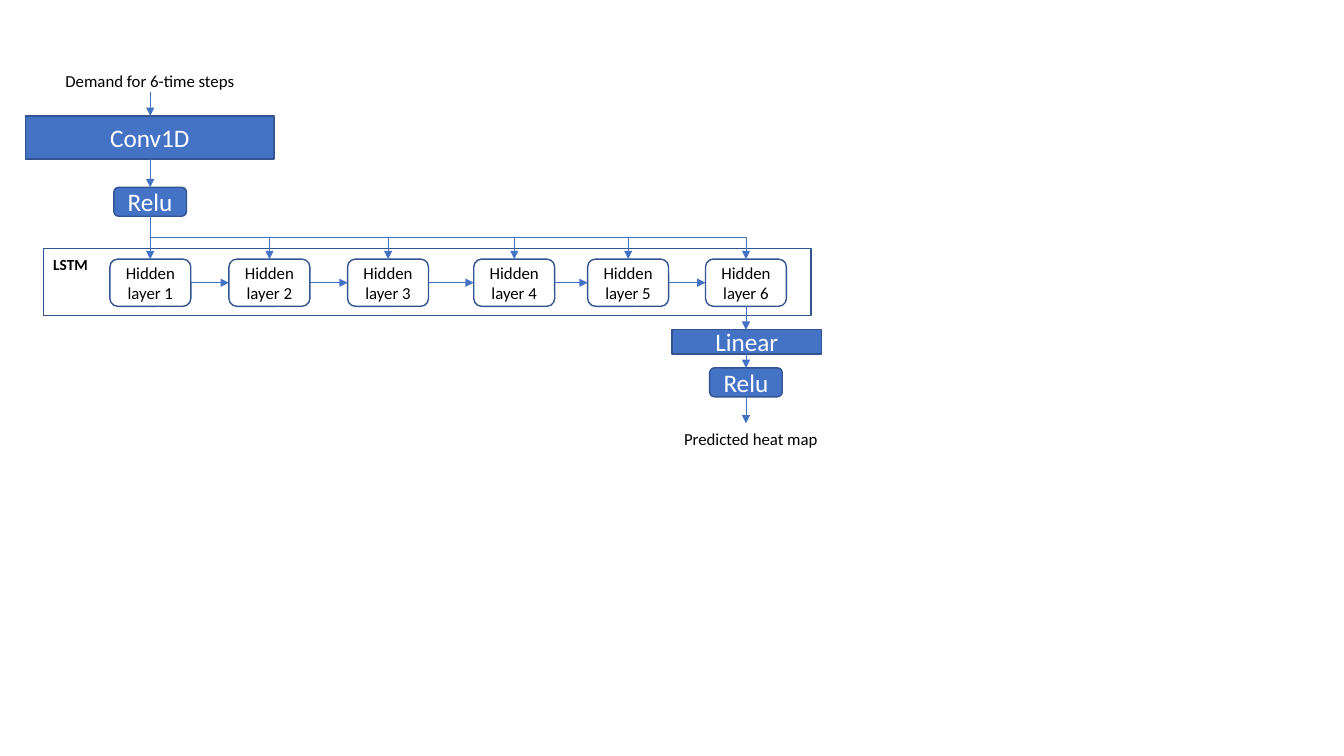
from pptx import Presentation
from pptx.dml.color import RGBColor
from pptx.enum.shapes import MSO_CONNECTOR, MSO_SHAPE
from pptx.enum.text import MSO_ANCHOR, MSO_AUTO_SIZE, PP_ALIGN
from pptx.oxml.ns import qn
from pptx.util import Cm, Pt
from lxml.etree import SubElement

BLUE = RGBColor(0x44, 0x72, 0xC4)
NAVY = RGBColor(0x32, 0x54, 0x91)
BLACK = RGBColor(0, 0, 0)
WHITE = RGBColor(0xFF, 0xFF, 0xFF)
FONT = "Calibri"

RELU_W, RELU_H = 1.83, 0.73
CELL_W, CELL_H = 2.04, 1.19
CELL_OFFSETS = [1.68, 4.68, 7.67, 10.85, 13.72, 16.69]


def write(sp, text, size, color, bold=False):
    tf = sp.text_frame
    tf.text = text
    font = tf.paragraphs[0].runs[0].font
    font.name, font.size, font.bold = FONT, Pt(size), bold
    font.color.rgb = color
    return tf


def add_block(slide, kind, box, text=None, size=18, fill=BLUE, color=WHITE):
    sp = slide.shapes.add_shape(kind, *map(Cm, box))
    sp.shadow.inherit = False
    if fill is None:
        sp.fill.background()
    else:
        sp.fill.solid()
        sp.fill.fore_color.rgb = fill
    sp.line.color.rgb = NAVY
    sp.line.width = Pt(1)
    if text:
        tf = write(sp, text, size, color)
        tf.word_wrap = True
        tf.vertical_anchor = MSO_ANCHOR.MIDDLE
        tf.paragraphs[0].alignment = PP_ALIGN.CENTER


def add_label(slide, box, text, size=12, bold=False, wrap=True):
    sp = slide.shapes.add_textbox(*map(Cm, box))
    tf = write(sp, text, size, BLACK, bold)
    tf.word_wrap = wrap
    tf.auto_size = MSO_AUTO_SIZE.SHAPE_TO_FIT_TEXT


def add_arrow(slide, x1, y1, x2, y2, kind=MSO_CONNECTOR.STRAIGHT):
    cxn = slide.shapes.add_connector(kind, Cm(x1), Cm(y1), Cm(x2), Cm(y2))
    cxn.line.color.rgb = BLUE
    cxn.line.width = Pt(0.5)
    SubElement(cxn.line._get_or_add_ln(), qn("a:tailEnd"), type="triangle")
    SubElement(cxn._element.spPr, qn("a:effectLst"))
    return cxn


def add_drop_elbow(slide, x1, y1, x2, y2):
    """Elbow that leaves downwards, runs right and ends downwards."""
    cxn = add_arrow(slide, x1, y1, x2, y2, MSO_CONNECTOR.ELBOW)
    run, drop = x2 - x1, y2 - y1
    # A quarter turn swaps the sides around the same centre
    cxn.left, cxn.top = Cm((x1 + x2 - drop) / 2), Cm((y1 + y2 - run) / 2)
    cxn.width, cxn.height = Cm(drop), Cm(run)
    xfrm = cxn._element.spPr.find(qn("a:xfrm"))
    xfrm.set("rot", str(270 * 60000))
    xfrm.set("flipH", "1")


def add_input_stage(slide, left, top, width):
    """Demand label, Conv1D and Relu; returns the outlet point."""
    mid = left + width / 2 + 0.01
    conv_top, relu_top = top + 1.27, top + 3.07
    add_label(slide, (left + 0.76, top, 4.8, 0.76), "Demand for 6-time steps")
    add_block(slide, MSO_SHAPE.RECTANGLE, (left, conv_top, width, 1.09), "Conv1D")
    add_block(slide, MSO_SHAPE.ROUNDED_RECTANGLE,
              (mid - RELU_W / 2, relu_top, RELU_W, RELU_H), "Relu")
    add_arrow(slide, mid, top + 0.66, mid, conv_top)
    add_arrow(slide, mid, conv_top + 1.09, mid, relu_top)
    return mid, relu_top + RELU_H


def add_lstm(slide, left, top, width, height, inlet):
    """Frame with the chained hidden layers; returns the outlet point."""
    add_block(slide, MSO_SHAPE.RECTANGLE, (left, top, width, height), fill=None)
    add_label(slide, (left, top + 0.03, 1.75, 0.74), "LSTM", 11, bold=True)
    cell_top = top + 0.26
    cells = [left + offset for offset in CELL_OFFSETS]
    for number, x in enumerate(cells, 1):
        add_block(slide, MSO_SHAPE.ROUNDED_RECTANGLE, (x, cell_top, CELL_W, CELL_H),
                  f"Hidden layer {number}", 12, None, BLACK)
    # Chain from each layer to the next
    mid_y = cell_top + CELL_H / 2
    for x, following in zip(cells, cells[1:]):
        add_arrow(slide, x + CELL_W, mid_y, following, mid_y)
    # Input fanned out to every layer
    add_arrow(slide, *inlet, inlet[0], cell_top)
    for x in cells[1:]:
        add_drop_elbow(slide, *inlet, x + CELL_W / 2, cell_top)
    return cells[-1] + CELL_W / 2, cell_top + CELL_H


def add_output_stage(slide, left, top, width, inlet):
    """Linear, Relu and the heat map label."""
    mid = inlet[0]
    relu_top, label_top = top + 0.96, top + 2.36
    add_block(slide, MSO_SHAPE.RECTANGLE, (left, top, width, 0.61), "Linear")
    add_block(slide, MSO_SHAPE.ROUNDED_RECTANGLE,
              (mid - RELU_W / 2, relu_top, RELU_W, RELU_H), "Relu")
    add_arrow(slide, *inlet, mid, top)
    add_arrow(slide, mid, top + 0.61, mid, relu_top)
    add_arrow(slide, mid, relu_top + RELU_H, mid, label_top)
    add_label(slide, (left + 0.05, label_top, 3.91, 0.43), "Predicted heat map",
              wrap=False)


def main():
    prs = Presentation()
    prs.slide_width, prs.slide_height = Cm(33.87), Cm(19.05)
    slide = prs.slides.add_slide(prs.slide_layouts[6])
    features = add_input_stage(slide, 0.64, 1.65, 6.27)
    state = add_lstm(slide, 1.09, 6.27, 19.35, 1.68, features)
    add_output_stage(slide, 16.94, 8.31, 3.76, state)
    prs.save("out.pptx")


if __name__ == "__main__":
    main()
